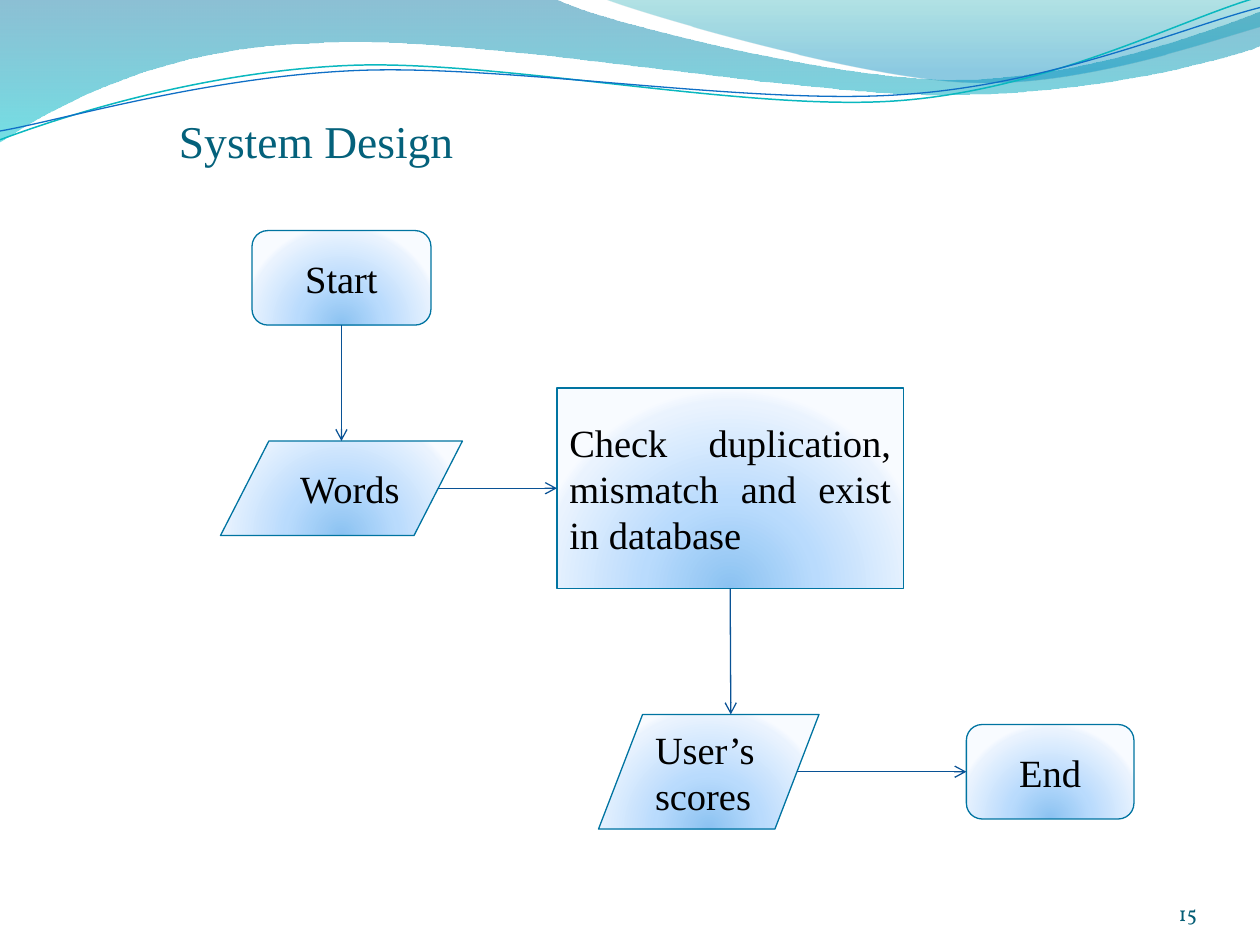
from lxml import etree
from pptx import Presentation
from pptx.dml.color import RGBColor
from pptx.enum.shapes import MSO_CONNECTOR, MSO_SHAPE
from pptx.enum.text import MSO_ANCHOR, PP_ALIGN
from pptx.oxml import parse_xml
from pptx.oxml.ns import nsdecls, qn
from pptx.util import Inches, Pt

TERMINAL = MSO_SHAPE.FLOWCHART_ALTERNATE_PROCESS
DATA = MSO_SHAPE.FLOWCHART_DATA
PROCESS = MSO_SHAPE.FLOWCHART_PROCESS
LEFT, CENTER, RIGHT, JUSTIFY = PP_ALIGN.LEFT, PP_ALIGN.CENTER, PP_ALIGN.RIGHT, PP_ALIGN.JUSTIFY
MIDDLE, BOTTOM = MSO_ANCHOR.MIDDLE, MSO_ANCHOR.BOTTOM

BLACK = RGBColor(0x00, 0x00, 0x00)
TITLE_TEAL = RGBColor(0x04, 0x61, 0x7B)
NUMBER_TEAL = RGBColor(0x04, 0x5D, 0x75)
OUTLINE = RGBColor(0x00, 0x74, 0xA1)
ARROW = RGBColor(0x09, 0x52, 0x95)
TEAL_LINE = RGBColor(0x0A, 0xB8, 0xBF)
BLUE_LINE = RGBColor(0x0F, 0x6F, 0xC6)
DEEP_BLUE = RGBColor(0x00, 0x74, 0xA1)
TURQUOISE = RGBColor(0x00, 0xC6, 0xCF)
SEA_GREEN = RGBColor(0x00, 0xA1, 0xA9)
SKY = RGBColor(0x00, 0x8B, 0xBF)

NODE_STOPS = [(0, RGBColor(0x8B, 0xC2, 0xF1), 100), (43, RGBColor(0xB9, 0xDB, 0xFD), 100),
              (93, RGBColor(0xEA, 0xF3, 0xFE), 100), (100, RGBColor(0xF8, 0xFB, 0xFF), 100)]
DOWNWARD = '<a:lin ang="5400000" scaled="0"/>'
FROM_BELOW = ('<a:path path="circle"><a:fillToRect l="50000" t="130000" '
              'r="50000" b="-30000"/></a:path>')

WAVES = [
    ([(0, 0), (4.4, -0.01), (4.76, 0.17, 6.64, 0.63, 7.58, 0.63),
      (8.53, 0.63, 9.58, 0.26, 10, 0.09), (10.01, 0.36),
      (9.83, 0.44, 8.7, 0.76, 7.46, 0.75), (6.22, 0.75, 3.82, 0.28, 2.57, 0.34),
      (1.29, 0.36, 0.46, 0.83, -0.01, 1.13)],
     [(0, DEEP_BLUE, 45), (100, TURQUOISE, 55)]),
    ([(4.79, -0.01), (5.09, 0.11, 6.82, 0.62, 7.69, 0.65),
      (8.56, 0.69, 9.61, 0.32, 10, 0.21), (10, 0)],
     [(0, SEA_GREEN, 30), (80, SKY, 45)]),
]
RIPPLES = [
    ([(0, 1.11), (0.48, 0.93, 1.58, 0.57, 2.77, 0.52),
      (3.95, 0.47, 5.93, 0.89, 7.13, 0.8), (8.33, 0.71, 9.38, 0.15, 9.98, -0.02)],
     TEAL_LINE, 0.85),
    ([(0, 1.04), (0.47, 0.96, 1.64, 0.61, 2.83, 0.56),
      (4.03, 0.51, 5.97, 0.84, 7.17, 0.75), (8.36, 0.67, 9.41, 0.21, 10, 0.06)],
     BLUE_LINE, 0.75),
]
NODES = {
    "start": ("Start", TERMINAL, (2, 1.83, 1.42, 0.75), CENTER, 0),
    "words": ("Words", DATA, (1.75, 3.5, 1.92, 0.75), JUSTIFY, 0.15),
    "check": ("Check duplication, mismatch and exist in database", PROCESS,
              (4.42, 3.08, 2.75, 1.59), JUSTIFY, 0),
    "scores": ("User’s scores", DATA, (4.75, 5.67, 1.75, 0.91), JUSTIFY, 0),
    "end": ("End", TERMINAL, (7.67, 5.75, 1.33, 0.75), CENTER, 0),
}
FLOWS = [
    (("words", 0.9, 0.5), ("check", 0, 0.5)),
    (("start", 0.5, 1), ("words", 0.5, 0)),
    (("check", 0.5, 1), ("scores", 0.6, 0)),
    (("scores", 0.9, 0.5), ("end", 0, 0.5)),
]


def write(shape, text, size, color, font="Times New Roman", align=LEFT,
          anchor=MIDDLE, insets=(0.1, 0.05, 0.1, 0.05), indent=0):
    frame = shape.text_frame
    frame.word_wrap = True
    frame.vertical_anchor = anchor
    (frame.margin_left, frame.margin_top,
     frame.margin_right, frame.margin_bottom) = map(Inches, insets)
    paragraph = frame.paragraphs[0]
    paragraph.alignment = align
    if indent:
        paragraph._p.get_or_add_pPr().set("marL", str(Inches(indent)))
    run = paragraph.add_run()
    run.text = text
    run.font.name, run.font.size = font, Pt(size)
    run.font.color.rgb = color


def fill_gradient(shape, stops, direction):
    marks = "".join(
        f'<a:gs pos="{pos * 1000}"><a:srgbClr val="{color}">'
        f'<a:alpha val="{opacity * 1000}"/></a:srgbClr></a:gs>'
        for pos, color, opacity in stops)
    gradient = parse_xml(f'<a:gradFill {nsdecls("a")} rotWithShape="1">'
                         f'<a:gsLst>{marks}</a:gsLst>{direction}</a:gradFill>')
    shape.fill.background()
    blank = shape._element.spPr.find(qn("a:noFill"))
    blank.getparent().replace(blank, gradient)


def draw_curve(segments, close):
    points = [(Inches(x), Inches(y)) for segment in segments
              for x, y in zip(segment[::2], segment[1::2])]
    builder = slide.shapes.build_freeform(*points[0])
    builder.add_line_segments(points[1:], close=close)
    shape = builder.convert_to_shape()
    shape.shadow.inherit = False
    legs = iter(list(shape._element.iter(qn("a:lnTo"))))
    for segment in segments[1:]:
        leg = next(legs)
        if len(segment) == 6:
            leg.tag = qn("a:cubicBezTo")
            for control in (next(legs), next(legs)):
                leg.append(control[0])
                control.getparent().remove(control)
    return shape


def site(key, across, down):
    left, top, width, height = NODES[key][2]
    return Inches(left + across * width), Inches(top + down * height)


prs = Presentation()
prs.slide_width, prs.slide_height = Inches(10), Inches(7.5)
slide = prs.slides.add_slide(prs.slide_layouts[6])

for segments, stops in WAVES:
    wave = draw_curve(segments, True)
    fill_gradient(wave, stops, DOWNWARD)
    wave.line.fill.background()

for segments, color, weight in RIPPLES:
    ripple = draw_curve(segments, False)
    ripple.fill.background()
    ripple.line.color.rgb = color
    ripple.line.width = Pt(weight)

number = slide.shapes.add_textbox(*map(Inches, (8.67, 6.95, 0.83, 0.4)))
write(number, "15", 12, NUMBER_TEAL, font="Vollkorn", align=RIGHT, anchor=BOTTOM,
      insets=(0, 0, 0, 0))
title = slide.shapes.add_textbox(*map(Inches, (1.42, 0.3, 8.58, 1.03)))
write(title, "System Design", 26, TITLE_TEAL, anchor=BOTTOM, insets=(0, 0.05, 0, 0))

for text, preset, box, align, indent in NODES.values():
    node = slide.shapes.add_shape(preset, *map(Inches, box))
    node.shadow.inherit = False
    fill_gradient(node, NODE_STOPS, FROM_BELOW)
    node.line.color.rgb = OUTLINE
    node.line.width = Pt(0.75)
    write(node, text, 22, BLACK, align=align, indent=indent)

for source, target in FLOWS:
    arrow = slide.shapes.add_connector(MSO_CONNECTOR.STRAIGHT, *site(*source), *site(*target))
    arrow.line.color.rgb = ARROW
    arrow.line.width = Pt(0.75)
    etree.SubElement(arrow.line._get_or_add_ln(), qn("a:tailEnd"), type="arrow")
    etree.SubElement(arrow._element.spPr, qn("a:effectLst"))

prs.save("out.pptx")
